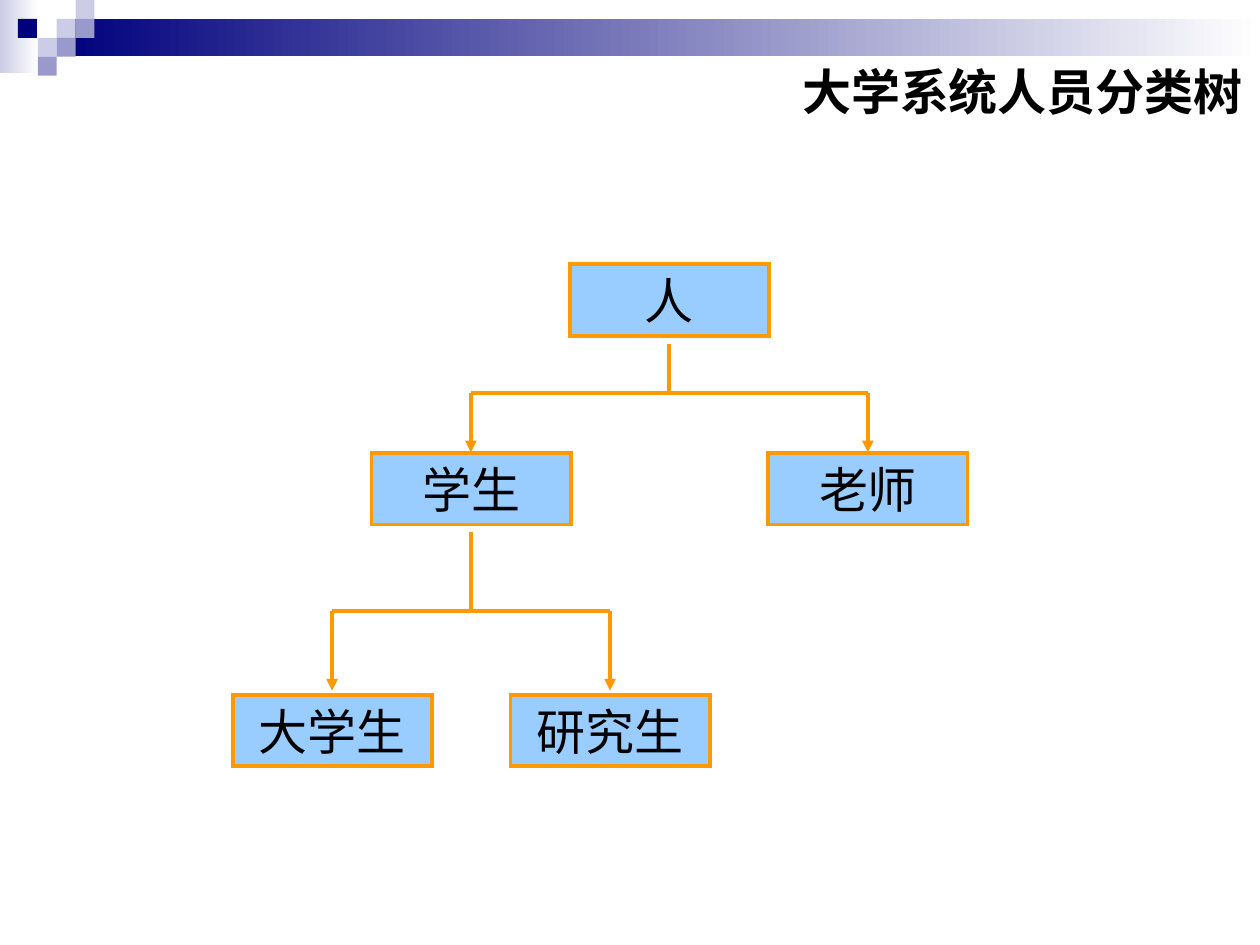
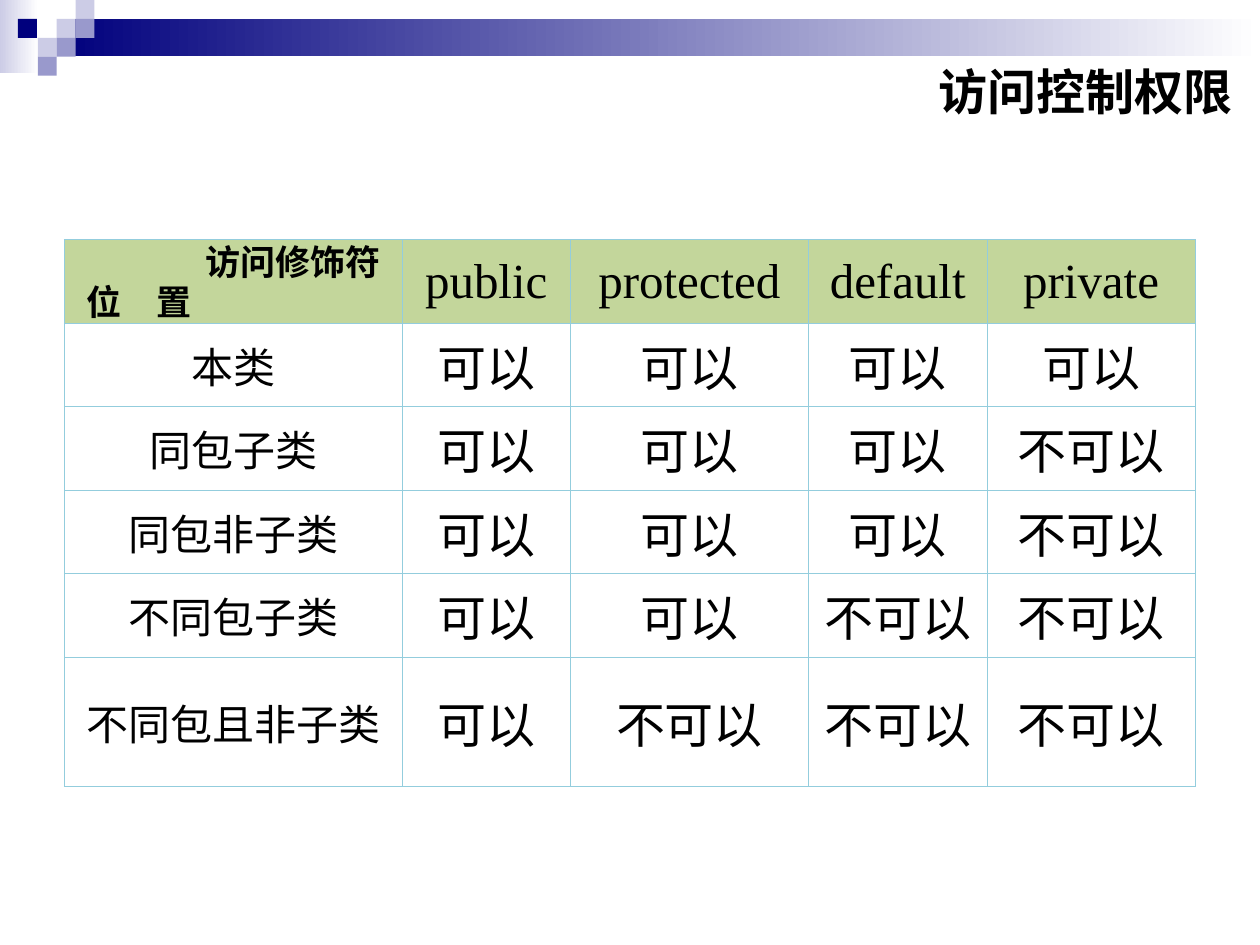
from lxml.etree import SubElement
from pptx import Presentation
from pptx.dml.color import RGBColor
from pptx.enum.shapes import MSO_CONNECTOR, MSO_SHAPE
from pptx.enum.text import MSO_ANCHOR, PP_ALIGN
from pptx.oxml.ns import qn
from pptx.util import Pt

rgb = RGBColor.from_string
NAVY, LILAC, PALE, WHITE, BLACK = "00007D", "9999CC", "CCCCE6", "FFFFFF", "000000"
BOX, ORANGE = "99CCFF", "FF9900"
HEADER, RULE = "C3D69B", "93CDDD"
CJK, SERIF = "Noto Sans CJK SC", "Times New Roman"


def write(tf, text, size, align, font=SERIF, bold=False):
    tf.text = text
    p = tf.paragraphs[0]
    p.alignment = align
    p.font.size, p.font.name, p.font.bold = Pt(size), font, bold
    p.font.color.rgb = rgb(BLACK)
    SubElement(p._p.pPr.find(qn("a:defRPr")), qn("a:ea"), typeface=CJK)


def add_rect(s, x, y, w, h, color, end_color=None):
    sp = s.shapes.add_shape(MSO_SHAPE.RECTANGLE, Pt(x), Pt(y), Pt(w), Pt(h))
    sp.shadow.inherit = False
    sp.line.fill.background()
    if end_color:
        sp.fill.gradient()
        sp.fill.gradient_angle = 0
        for stop, c in zip(sp.fill.gradient_stops, (color, end_color)):
            stop.color.rgb = rgb(c)
    else:
        sp.fill.solid()
        sp.fill.fore_color.rgb = rgb(color)
    return sp


prs = Presentation()
prs.slide_width, prs.slide_height = Pt(720), Pt(540)
layout = prs.slide_layouts[5]

# Slides and titles
slides = []
for title, x in (("大学系统人员分类树", 348.2), ("访问控制权限", 342.5)):
    s = prs.slides.add_slide(layout)
    sp = s.shapes.title
    sp.left, sp.top, sp.width, sp.height = Pt(x), Pt(32.4), Pt(369), Pt(39.6)
    tf = sp.text_frame
    tf.vertical_anchor = MSO_ANCHOR.MIDDLE
    write(tf, title, 28, PP_ALIGN.RIGHT, CJK, True)
    slides.append(s)
tree, access = slides

# Shared band and squares, moved to the layout
UNIT = 10.8
decor = [add_rect(tree, 0, 0, 22, 41.8, PALE, WHITE),
         add_rect(tree, 3 * UNIT, UNIT, 720 - 3 * UNIT, 2 * UNIT - 0.4, NAVY, WHITE)]
for col, row, color in ((3, 1, PALE), (4, 0, PALE), (4, 1, LILAC), (2, 2, PALE),
                        (0.95, 1, NAVY), (3, 2, LILAC), (2, 3, LILAC)):
    decor.append(add_rect(tree, col * UNIT, row * UNIT, UNIT, UNIT, color))
for i, sp in enumerate(decor):
    layout.shapes.element.insert(2 + i, sp.element)

# Tree boxes: label, centre, top
BOX_W, BOX_H = 113.8, 41
for label, cx, y in (("人", 382.5, 151), ("学生", 269.2, 258.8), ("老师", 496, 258.8),
                     ("大学生", 189.8, 397), ("研究生", 348.6, 397)):
    sp = add_rect(tree, cx - BOX_W / 2, y, BOX_W, BOX_H, BOX)
    sp.line.color.rgb = rgb(ORANGE)
    sp.line.width = Pt(2.25)
    SubElement(sp.line._get_or_add_ln(), qn("a:miter"), lim="800000")
    tf = sp.text_frame
    tf.vertical_anchor = MSO_ANCHOR.MIDDLE
    write(tf, label, 28, PP_ALIGN.CENTER)

# Tree branches: stem, bar and two arrows each
for cx, top, bar, bottom, reach in ((382.5, 196.6, 224.6, 258.5, 113.4),
                                    (269.2, 303.8, 349.2, 394.6, 79.4)):
    left, right = cx - reach, cx + reach
    for x1, y1, x2, y2, arrow in ((cx, top, cx, bar, False),
                                  (left, bar, right, bar, False),
                                  (left, bar, left, bottom, True),
                                  (right, bar, right, bottom, True)):
        line = tree.shapes.add_connector(MSO_CONNECTOR.STRAIGHT, Pt(x1), Pt(y1), Pt(x2), Pt(y2))
        line.line.color.rgb = rgb(ORANGE)
        line.line.width = Pt(2.25)
        if arrow:
            SubElement(line.line._get_or_add_ln(), qn("a:tailEnd"), type="triangle")
        SubElement(line.element.spPr, qn("a:effectLst"))

# Access table
YES, NO = "可以", "不可以"
rows = [("", "public", "protected", "default", "private"),
        ("本类", YES, YES, YES, YES),
        ("同包子类", YES, YES, YES, NO),
        ("同包非子类", YES, YES, YES, NO),
        ("不同包子类", YES, YES, NO, NO),
        ("不同包且非子类", YES, NO, NO, NO)]
widths = (193, 96.2, 136, 102.2, 118.8)
heights = [47.8] + [47.6] * 4 + [74.2]
table = access.shapes.add_table(len(rows), len(widths), Pt(36.8), Pt(136.9),
                                Pt(sum(widths)), Pt(sum(heights))).table
for column, w in zip(table.columns, widths):
    column.width = Pt(w)
for row, h in zip(table.rows, heights):
    row.height = Pt(h)
last_r, last_c = len(rows) - 1, len(widths) - 1
for r, row in enumerate(rows):
    for c, text in enumerate(row):
        cell = table.cell(r, c)
        cell.vertical_anchor = MSO_ANCHOR.MIDDLE
        if text:
            write(cell.text_frame, text, 28 if c else 24, PP_ALIGN.CENTER)
        # Borders come before the fill; outer edges are thicker
        tc_pr = cell._tc.get_or_add_tcPr()
        for side, outer in (("L", c == 0), ("R", c == last_c), ("T", r == 0), ("B", r == last_r)):
            ln = SubElement(tc_pr, qn(f"a:ln{side}"), w=str(Pt(0.75 if outer else 0.45)))
            SubElement(SubElement(ln, qn("a:solidFill")), qn("a:srgbClr"), val=RULE)
        if r == 0:
            cell.fill.solid()
            cell.fill.fore_color.rgb = rgb(HEADER)
        else:
            cell.fill.background()

# Labels in the corner cell
for text, x, y, w in (("访问修饰符", 110.2, 133.6, 118.8), ("位　置", 42.5, 156.2, 101.5)):
    tf = access.shapes.add_textbox(Pt(x), Pt(y), Pt(w), Pt(31.7)).text_frame
    tf.word_wrap = True
    tf.vertical_anchor = MSO_ANCHOR.MIDDLE
    write(tf, text, 20, PP_ALIGN.LEFT, bold=True)

prs.save("out.pptx")
